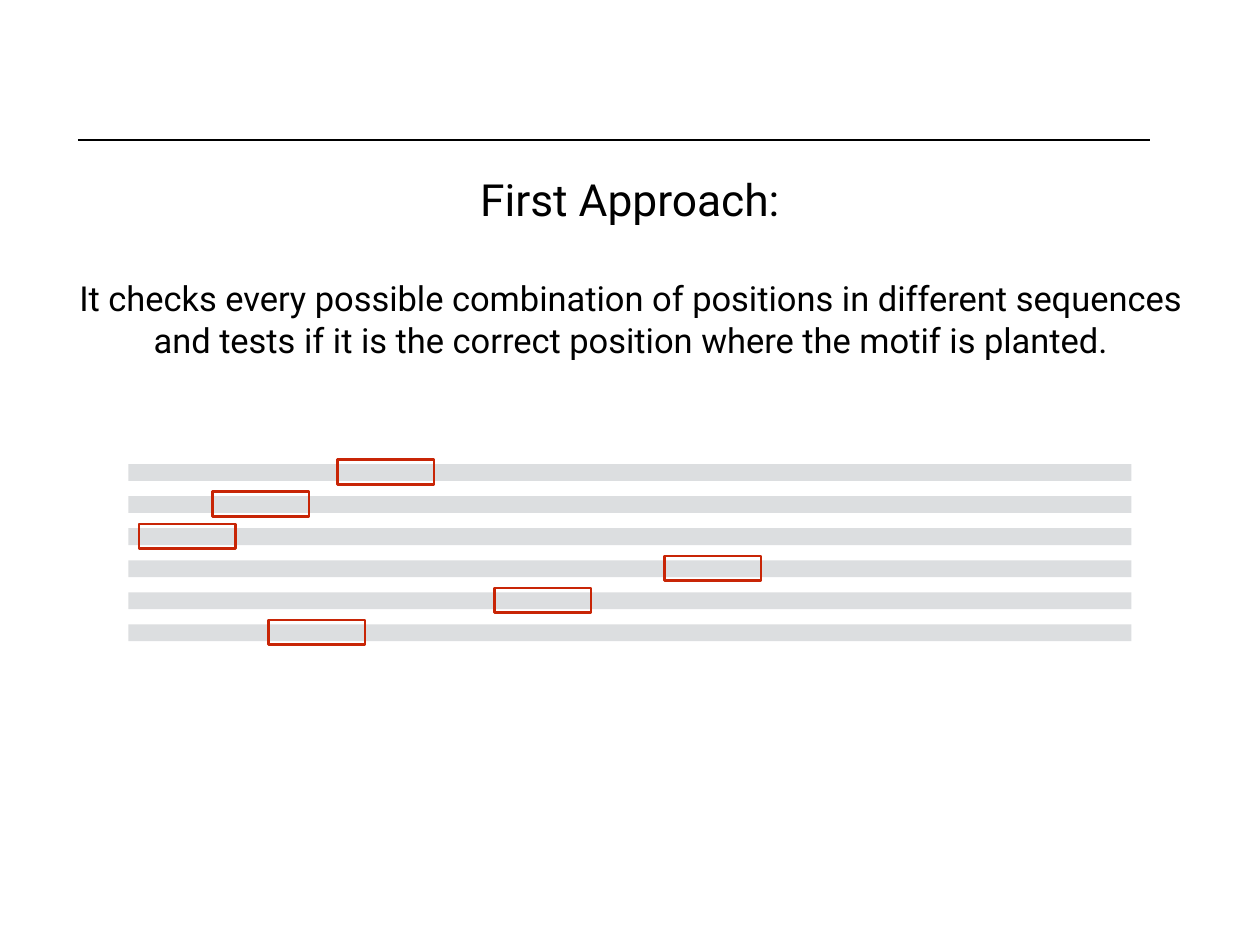
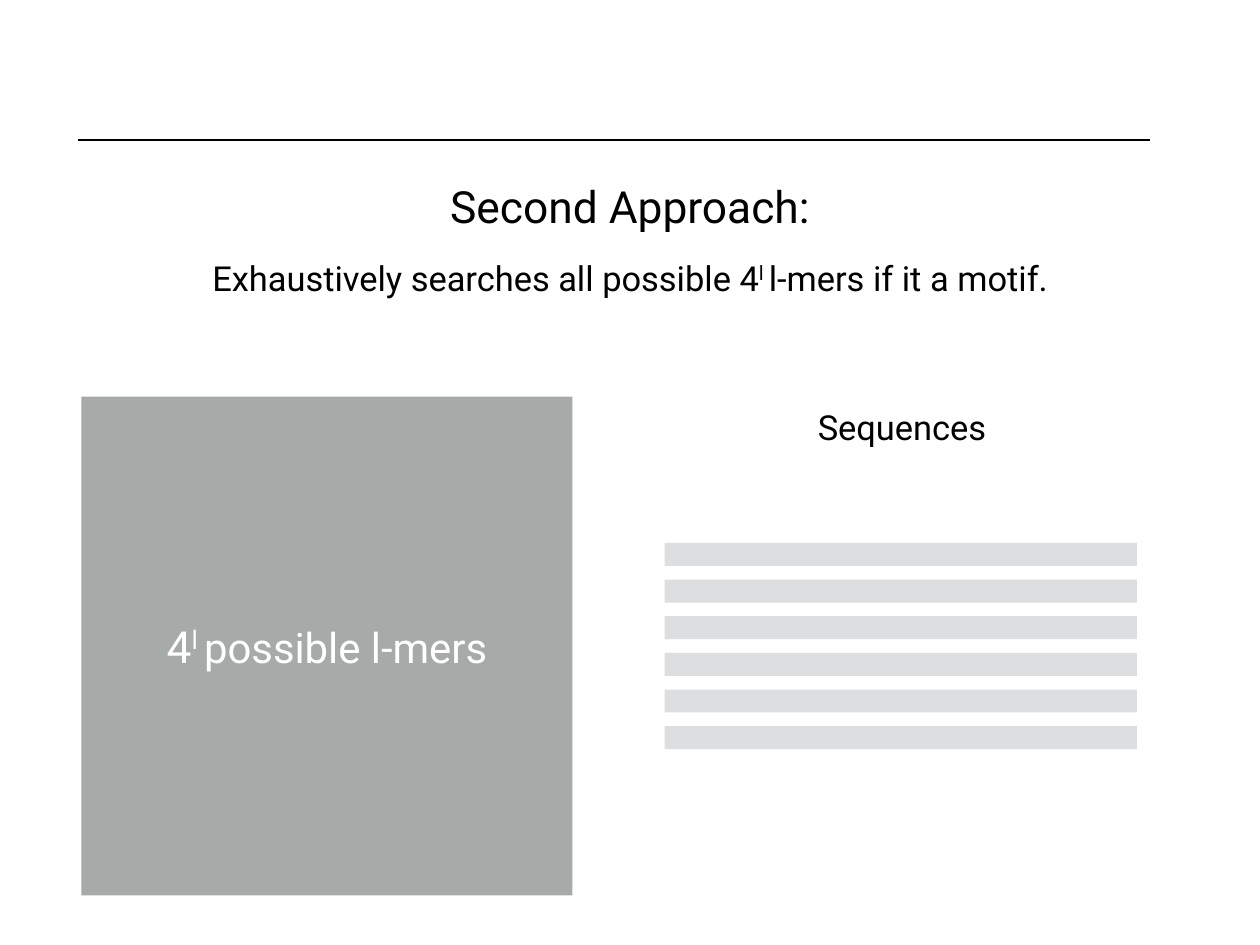
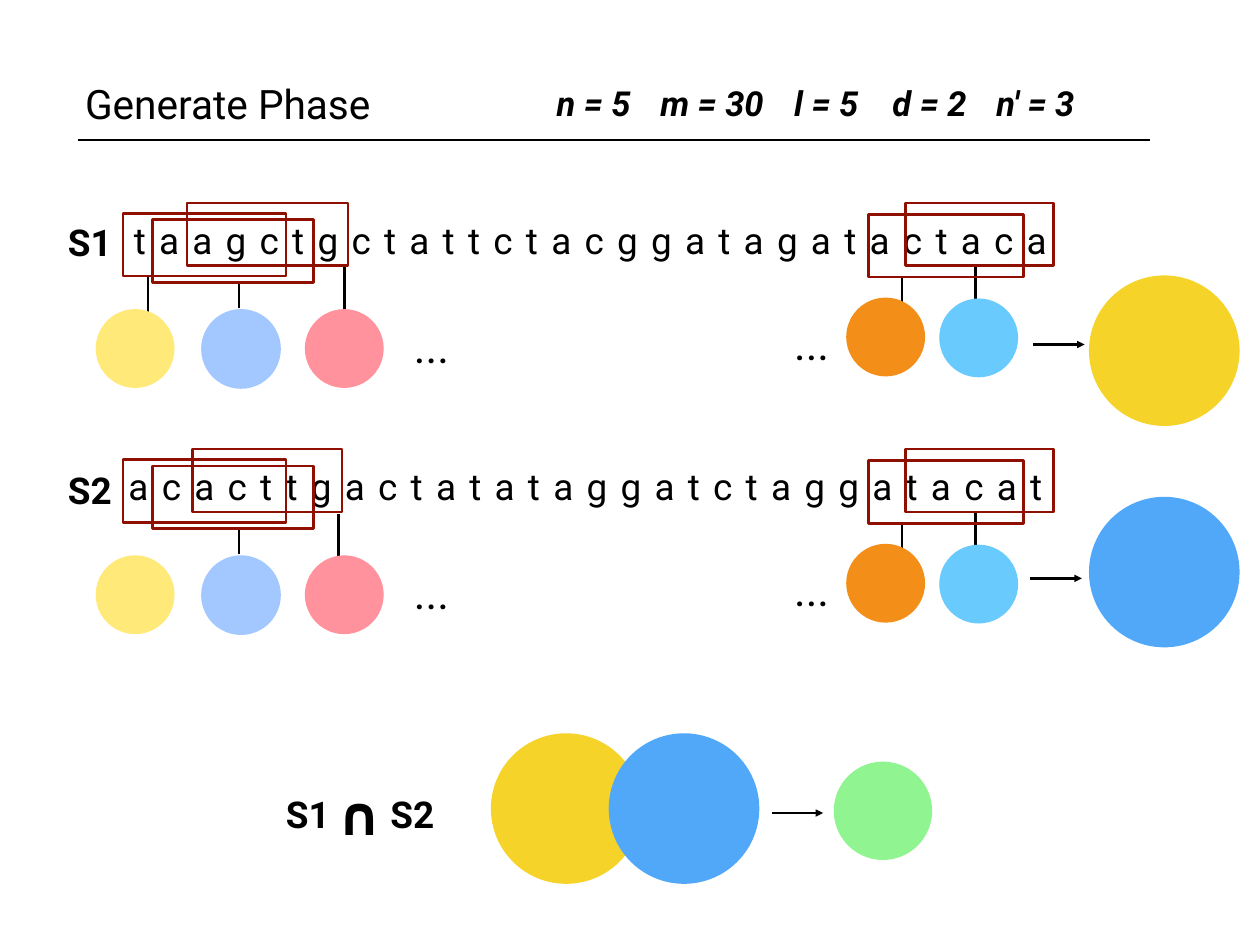
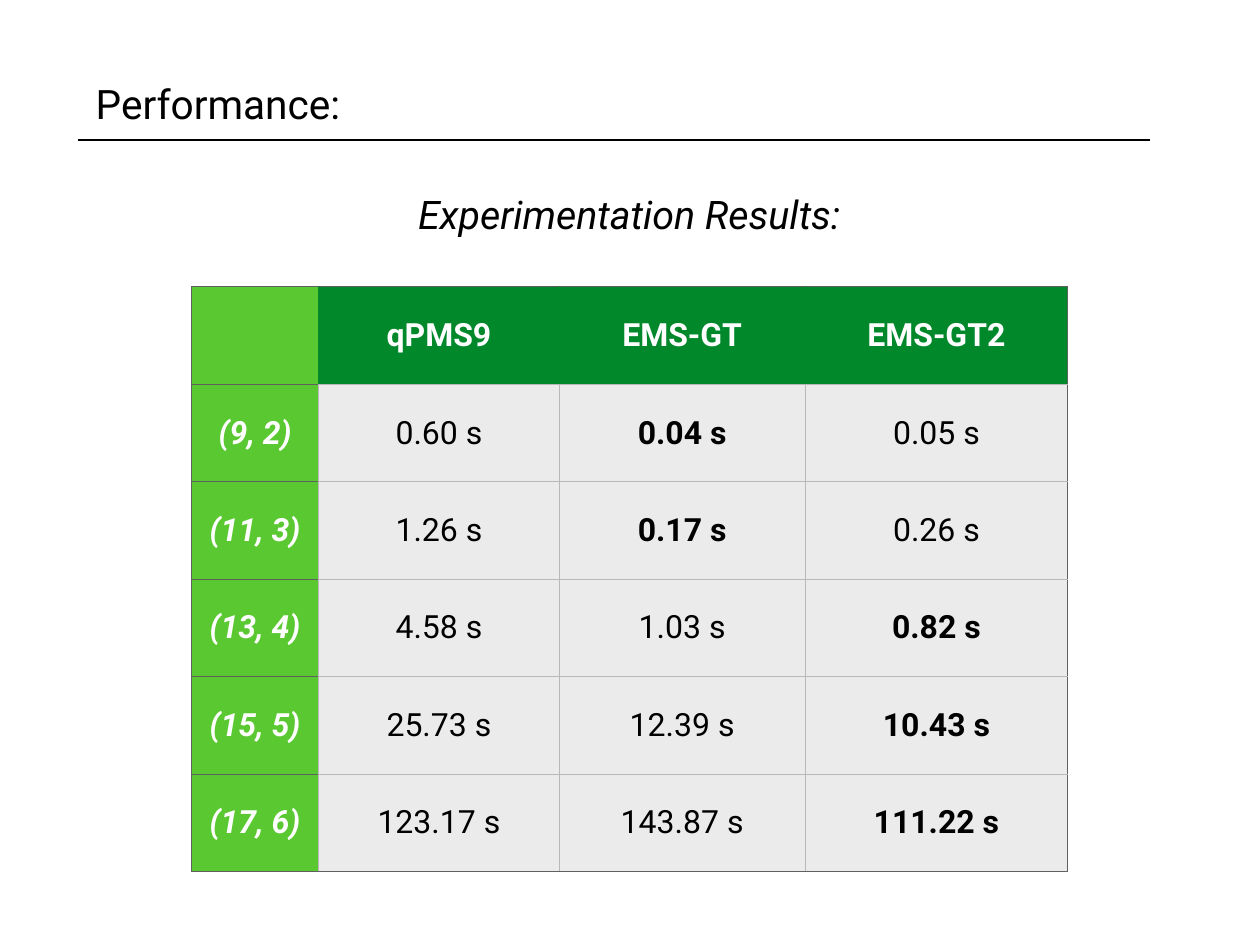
from dataclasses import dataclass
from typing import NamedTuple, Optional, Sequence, Union

from lxml.etree import SubElement
from pptx import Presentation
from pptx.dml.color import RGBColor
from pptx.enum.shapes import MSO_CONNECTOR, MSO_SHAPE
from pptx.enum.text import MSO_ANCHOR, MSO_AUTO_SIZE, PP_ALIGN
from pptx.oxml.ns import qn
from pptx.util import Inches, Pt

FONT = "Roboto"
INSET = 0.06
COLORS = {
    "black": "000000",
    "white": "FFFFFF",
    "strand": "DCDEE0",
    "motif": "C82506",
    "lmer_space": "A6AAA9",
    "window": "8F1000",
    "yellow": "FFE979",
    "lavender": "A3C7FF",
    "pink": "FF929D",
    "orange": "F38F18",
    "sky": "68CAFD",
    "s1": "F5D328",
    "s2": "51A8F9",
    "shared": "90F591",
    "header": "00882B",
    "label": "5AC831",
    "result": "EBEBEB",
    "frame": "606060",
    "grid": "B8B8B8",
}


class Box(NamedTuple):
    left: float
    top: float
    width: float
    height: float

    def down(self, distance: float) -> "Box":
        return self._replace(top=self.top + distance)

    def lengths(self) -> list:
        return [Inches(value) for value in self]


class Stem(NamedTuple):
    x: float
    top: float
    bottom: float


class Neighbourhood(NamedTuple):
    box: Box
    color: str


class Part(NamedTuple):
    text: str
    superscript: bool = False
    size: Optional[float] = None


@dataclass
class SequenceRow:
    name: str
    bases: str
    offset: float
    label_top: float
    bases_left: float
    third_window: Box
    stems: Sequence[Stem]
    arrow_left: float
    arrow_y: float
    union: Neighbourhood


WINDOWS = [
    Box(1.39, 2.41, 1.84, 0.71),
    Box(1.72, 2.48, 1.82, 0.71),
    Box(10.22, 2.29, 1.67, 0.71),
    Box(9.8, 2.42, 1.75, 0.71),
]
NEIGHBOURHOODS = [
    Neighbourhood(Box(1.08, 3.49, 0.89, 0.89), "yellow"),
    Neighbourhood(Box(2.27, 3.49, 0.9, 0.9), "lavender"),
    Neighbourhood(Box(3.44, 3.49, 0.89, 0.89), "pink"),
    Neighbourhood(Box(10.6, 3.37, 0.89, 0.89), "sky"),
    Neighbourhood(Box(9.55, 3.36, 0.89, 0.89), "orange"),
]
SHARED_STEMS = [Stem(2.7, 3.2, 3.48), Stem(10.18, 3.13, 3.63), Stem(11.01, 2.99, 3.49)]
SEQUENCE_ROWS = [
    SequenceRow(
        "S1", "taagctgctattctacggatagatactaca", 0, 2.42, 1.45,
        Box(2.11, 2.29, 1.82, 0.71),
        [*SHARED_STEMS, Stem(1.67, 3.11, 3.69), Stem(3.89, 3.02, 3.52)],
        11.66, 3.89, Neighbourhood(Box(12.29, 3.11, 1.7, 1.7), "s1"),
    ),
    SequenceRow(
        "S2", "acacttgactatataggatctaggatacat", 2.78, 5.22, 1.39,
        Box(2.17, 2.29, 1.69, 0.71),
        [*SHARED_STEMS, Stem(3.82, 3.02, 3.52)],
        11.63, 6.53, Neighbourhood(Box(12.29, 5.61, 1.7, 1.7), "s2"),
    ),
]
PARAMETERS = [
    ("n = 5", 6.19, 1.02),
    ("m = 30", 7.36, 1.35),
    ("l = 5", 8.88, 0.89),
    ("d = 2", 9.98, 1.02),
    ("n' = 3", 11.13, 1.11),
]
RESULTS = [
    ["", "qPMS9", "EMS-GT", "EMS-GT2"],
    ["(9, 2)", "0.60 s", "0.04 s", "0.05 s"],
    ["(11, 3)", "1.26 s", "0.17 s", "0.26 s"],
    ["(13, 4)", "4.58 s", "1.03 s", "0.82 s"],
    ["(15, 5)", "25.73 s", "12.39 s", "10.43 s"],
    ["(17, 6)", "123.17 s", "143.87 s", "111.22 s"],
]
COLUMN_WIDTHS = [1.44, 2.71, 2.78, 2.96]
ROW_HEIGHT = 1.1


def rgb(color: str) -> RGBColor:
    return RGBColor.from_string(COLORS[color])


def write_text(
    frame,
    text: Union[str, Sequence[Part]],
    *,
    size: float,
    color: str = "black",
    bold: bool = False,
    italic: bool = False,
    align: PP_ALIGN = PP_ALIGN.CENTER,
    tracking: float = 0,
    line_spacing: Optional[float] = None,
) -> None:
    paragraph = frame.paragraphs[0]
    paragraph.alignment = align
    if line_spacing:
        paragraph.line_spacing = line_spacing
    for part in [Part(text)] if isinstance(text, str) else text:
        run = paragraph.add_run()
        run.text = part.text
        font = run.font
        font.name, font.size = FONT, Pt(part.size or size)
        font.bold, font.italic = bold, italic
        font.color.rgb = rgb(color)
        properties = run._r.get_or_add_rPr()
        if tracking:
            properties.set("spc", str(round(tracking * 100)))
        if part.superscript:
            properties.set("baseline", "32000")


def set_frame(frame, wrap: bool) -> None:
    frame.auto_size = MSO_AUTO_SIZE.NONE
    frame.word_wrap = wrap
    frame.vertical_anchor = MSO_ANCHOR.MIDDLE
    frame.margin_left = frame.margin_right = Inches(INSET)
    frame.margin_top = frame.margin_bottom = Inches(INSET)


def add_text(slide, box: Box, text: Union[str, Sequence[Part]], wrap: bool = False, **style) -> None:
    frame = slide.shapes.add_textbox(*box.lengths()).text_frame
    set_frame(frame, wrap)
    write_text(frame, text, **style)


def add_block(
    slide,
    box: Box,
    fill: Optional[str] = None,
    outline: Optional[str] = None,
    kind: MSO_SHAPE = MSO_SHAPE.RECTANGLE,
) -> None:
    block = slide.shapes.add_shape(kind, *box.lengths())
    block.shadow.inherit = False
    if fill:
        block.fill.solid()
        block.fill.fore_color.rgb = rgb(fill)
    else:
        block.fill.background()
    if outline:
        block.line.color.rgb = rgb(outline)
        block.line.width = Pt(2)
    else:
        block.line.fill.background()


def add_circle(slide, circle: Neighbourhood) -> None:
    add_block(slide, circle.box, circle.color, kind=MSO_SHAPE.OVAL)


def add_line(slide, x1: float, y1: float, x2: float, y2: float, arrow: bool = False) -> None:
    ends = [Inches(value) for value in (x1, y1, x2, y2)]
    line = slide.shapes.add_connector(MSO_CONNECTOR.STRAIGHT, *ends)
    line.line.color.rgb = rgb("black")
    line.line.width = Pt(2)
    if arrow:
        SubElement(line.line._get_or_add_ln(), qn("a:tailEnd"), type="triangle")
    SubElement(line._element.spPr, qn("a:effectLst"))


def add_arrow(slide, left: float, y: float) -> None:
    add_line(slide, left, y, left + 0.58, y, arrow=True)


def add_strands(slide, first: Box, last_top: float, count: int = 6) -> list[Box]:
    pitch = (last_top - first.top) / (count - 1)
    strands = [first.down(index * pitch) for index in range(count)]
    for strand in strands:
        add_block(slide, strand, "strand")
    return strands


def new_slide(deck, title: str, box: Box, size: float, align: PP_ALIGN, wrap: bool):
    slide = deck.slides.add_slide(deck.slide_layouts[5])
    heading = slide.shapes.title
    heading.left, heading.top, heading.width, heading.height = box.lengths()
    set_frame(heading.text_frame, wrap)
    write_text(heading.text_frame, title, size=size, align=align)
    add_line(slide, 0.88, 1.58, 12.98, 1.58)
    return slide


def approach_slide(deck, title: str, box: Box):
    return new_slide(deck, title, box, 36, PP_ALIGN.CENTER, False)


def section_slide(deck, title: str, box: Box):
    return new_slide(deck, title, box, 33, PP_ALIGN.LEFT, True)


def build_first_approach(deck) -> None:
    slide = approach_slide(deck, "First Approach:", Box(5.33, 1.89, 3.56, 0.71))
    add_text(
        slide,
        Box(0.72, 3.07, 12.79, 1.06),
        "It checks every possible combination of positions in different sequences "
        "and tests if it is the correct position where the motif is planted.",
        wrap=True,
        size=28,
    )
    strands = add_strands(slide, Box(1.45, 5.24, 11.32, 0.19), 7.05)
    for strand, motif_left in zip(strands, [3.81, 2.4, 1.57, 7.5, 5.58, 3.03]):
        add_block(slide, Box(motif_left, strand.top - 0.05, 1.09, 0.28), outline="motif")


def build_second_approach(deck) -> None:
    slide = approach_slide(deck, "Second Approach:", Box(4.94, 1.97, 4.34, 0.71))
    exponent = Part("l ", superscript=True)
    add_text(
        slide,
        Box(0.85, 2.85, 12.52, 0.58),
        [Part("Exhaustively searches all possible 4"), exponent, Part("l-mers if it a motif.")],
        wrap=True,
        size=28,
    )
    add_block(slide, Box(0.92, 4.48, 5.54, 5.63), "lmer_space")
    add_strands(slide, Box(7.5, 6.13, 5.33, 0.26), 8.2)
    add_text(
        slide,
        Box(1.79, 6.94, 3.8, 0.71),
        [Part("4"), exponent, Part("possible l-mers", size=34)],
        size=36,
        color="white",
    )
    add_text(slide, Box(7.16, 4.53, 6.04, 0.58), "Sequences", wrap=True, size=28)


def add_sequence_name(slide, name: str, left: float, top: float) -> None:
    add_text(slide, Box(left, top, 0.63, 0.61), name, size=30, bold=True)


def add_sequence_row(slide, row: SequenceRow) -> None:
    for stem in row.stems:
        add_line(slide, stem.x, stem.bottom + row.offset, stem.x, stem.top + row.offset)
    add_text(
        slide,
        Box(row.bases_left, 2.35, 11.19, 0.71).down(row.offset),
        row.bases,
        wrap=True,
        size=30,
        align=PP_ALIGN.LEFT,
        tracking=10.8,
    )
    add_sequence_name(slide, row.name, 0.7, row.label_top)
    for window in [*WINDOWS, row.third_window]:
        add_block(slide, window.down(row.offset), outline="window")
    for circle in NEIGHBOURHOODS:
        add_circle(slide, circle._replace(box=circle.box.down(row.offset)))
    for left, top in [(4.6, 3.55), (8.89, 3.51)]:
        add_text(slide, Box(left, top, 0.54, 0.71).down(row.offset), "...", size=36)
    add_arrow(slide, row.arrow_left, row.arrow_y)
    add_circle(slide, row.union)


def build_generate_phase(deck) -> None:
    slide = section_slide(deck, "Generate Phase", Box(0.9, 0.83, 5.29, 0.67))
    for setting, left, width in PARAMETERS:
        add_text(slide, Box(left, 0.87, width, 0.58), setting, size=28, bold=True, italic=True)
    for row in SEQUENCE_ROWS:
        add_sequence_row(slide, row)
    for row, left, name_left in zip(SEQUENCE_ROWS, [5.54, 6.87], [3.16, 4.34]):
        add_circle(slide, Neighbourhood(Box(left, 8.28, 1.7, 1.7), row.union.color))
        add_sequence_name(slide, row.name, name_left, 8.88)
    add_text(slide, Box(3.83, 8.85, 0.45, 0.67), "∩", size=44, bold=True)
    add_arrow(slide, 8.71, 9.18)
    add_circle(slide, Neighbourhood(Box(9.41, 8.6, 1.11, 1.11), "shared"))


def set_borders(cell, colors: dict[str, str]) -> None:
    properties = cell._tc.get_or_add_tcPr()
    for side, color in colors.items():
        border = SubElement(properties, qn(f"a:ln{side}"), w=str(Pt(1)))
        fill = SubElement(border, qn("a:solidFill"))
        SubElement(fill, qn("a:srgbClr"), val=COLORS[color])


def add_results(slide) -> None:
    row_count, column_count = len(RESULTS), len(COLUMN_WIDTHS)
    area = Box(2.16, 3.24, sum(COLUMN_WIDTHS), row_count * ROW_HEIGHT)
    table = slide.shapes.add_table(row_count, column_count, *area.lengths()).table
    table.first_row = table.horz_banding = False
    for column, width in zip(table.columns, COLUMN_WIDTHS):
        column.width = Inches(width)
    for row_index, values in enumerate(RESULTS):
        table.rows[row_index].height = Inches(ROW_HEIGHT)
        is_header = row_index == 0
        fastest = None if is_header else min(values[1:], key=lambda time: float(time.split()[0]))
        for column_index, value in enumerate(values):
            is_label = column_index == 0
            cell = table.cell(row_index, column_index)
            upright = "header" if is_header else "grid"
            level = "frame" if is_label else "grid"
            set_borders(cell, {
                "L": "frame" if is_label else upright,
                "R": "frame" if column_index == column_count - 1 else upright,
                "T": "frame" if is_header else level,
                "B": "frame" if row_index == row_count - 1 else level,
            })
            cell.fill.solid()
            cell.fill.fore_color.rgb = rgb(
                "label" if is_label else "header" if is_header else "result"
            )
            cell.vertical_anchor = MSO_ANCHOR.MIDDLE
            cell.margin_left = cell.margin_right = Inches(INSET)
            cell.margin_top = cell.margin_bottom = Inches(INSET)
            if value:
                write_text(
                    cell.text_frame,
                    value,
                    size=26,
                    color="white" if is_header or is_label else "black",
                    bold=is_header or is_label or value == fastest,
                    italic=is_label,
                )


def build_performance(deck) -> None:
    slide = section_slide(deck, "Performance:", Box(1.02, 0.83, 12.97, 0.67))
    add_results(slide)
    add_text(
        slide,
        Box(1.38, 2.04, 11.45, 0.64),
        "Experimentation Results:",
        wrap=True,
        size=32,
        italic=True,
        line_spacing=1.2,
    )


def main() -> None:
    deck = Presentation()
    deck.slide_width, deck.slide_height = Inches(14.22), Inches(10.67)
    build_first_approach(deck)
    build_second_approach(deck)
    build_generate_phase(deck)
    build_performance(deck)
    deck.save("out.pptx")


if __name__ == "__main__":
    main()
